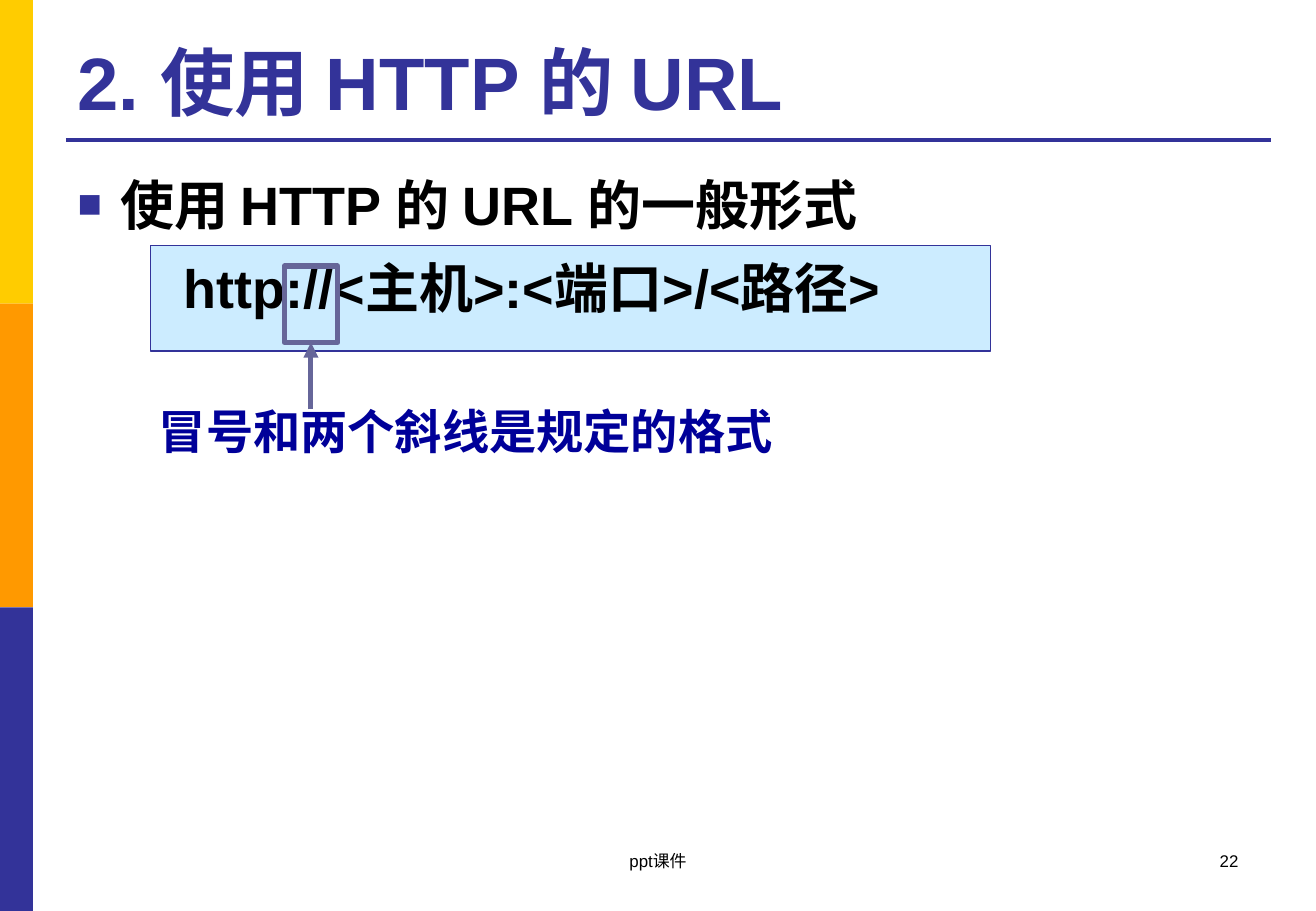
from lxml import etree
from pptx import Presentation
from pptx.dml.color import RGBColor
from pptx.enum.shapes import MSO_CONNECTOR as LINE, MSO_SHAPE as SHAPE
from pptx.enum.text import MSO_ANCHOR as ANCHOR, MSO_AUTO_SIZE as FIT, PP_ALIGN as ALIGN
from pptx.oxml.ns import qn
from pptx.util import Inches, Pt

WIDTH, HEIGHT = Inches(10.83), Inches(7.5)
INDIGO, SLATE, BLACK = "333399", "666699", "000000"
MARGIN, CONTENT_WIDTH = 5, 91.5
FOOTER_TOP, FOOTER_HEIGHT = 92.67, 6.67


def color(text):
    return RGBColor.from_string(text)


def place(left, top, *size):
    """Turn percentages of the slide's width and height into lengths."""
    sides = (WIDTH, HEIGHT, WIDTH, HEIGHT)
    return [round(side * share / 100) for side, share in zip(sides, (left, top, *size))]


def add_box(shapes, area, fill=None, line=None, weight=0.75):
    box = shapes.add_shape(SHAPE.RECTANGLE, *place(*area))
    box.shadow.inherit = False
    if fill:
        box.fill.solid()
        box.fill.fore_color.rgb = color(fill)
    else:
        box.fill.background()
    if line:
        box.line.color.rgb = color(line)
        box.line.width = Pt(weight)
    else:
        box.line.fill.background()
    return box


def add_line(shapes, start, end, line, weight):
    connector = shapes.add_connector(LINE.STRAIGHT, *place(*start), *place(*end))
    connector.line.color.rgb = color(line)
    connector.line.width = Pt(weight)
    etree.SubElement(connector._element.spPr, qn("a:effectLst"))
    return connector


def add_arrowhead(connector):
    outline = connector.line._get_or_add_ln()
    etree.SubElement(outline, qn("a:tailEnd"), type="triangle")


def style(para, size, ink, bold=False, font="Arial"):
    para.font.name = font
    para.font.size = Pt(size)
    para.font.bold = bold
    para.font.color.rgb = color(ink)


def add_text(page, area, text, size, ink, bold=False, font="Arial",
             align=ALIGN.LEFT, anchor=ANCHOR.TOP, wrap=True):
    box = page.shapes.add_textbox(*place(*area))
    frame = box.text_frame
    frame.word_wrap = wrap
    frame.vertical_anchor = anchor
    para = frame.paragraphs[0]
    para.text = text
    para.alignment = align
    style(para, size, ink, bold, font)
    return frame


def set_indent(para, left, first=0):
    properties = para._p.get_or_add_pPr()
    properties.set("marL", str(Inches(left)))
    properties.set("indent", str(Inches(first)))
    return properties


def add_bullet(para):
    properties = set_indent(para, 0.35, -0.35)
    tint = etree.SubElement(properties, qn("a:buClr"))
    etree.SubElement(tint, qn("a:srgbClr"), val=INDIGO)
    etree.SubElement(properties, qn("a:buSzPct"), val="75000")
    etree.SubElement(properties, qn("a:buFont"), typeface="Arial")
    etree.SubElement(properties, qn("a:buChar"), char="■")


def add_body(page):
    box = page.shapes.add_textbox(*place(MARGIN, 17.47, CONTENT_WIDTH, 72))
    frame = box.text_frame
    frame.word_wrap = True
    heading, address = frame.paragraphs[0], frame.add_paragraph()
    heading.text = "使用 HTTP 的 URL 的一般形式"
    address.text = "http://<主机>:<端口>/<路径>"
    add_bullet(heading)
    set_indent(address, 0.87)
    address.space_before = Pt(7)
    for para in (heading, address):
        para.line_spacing = 1.1
        style(para, 32, BLACK, bold=True)


def add_separator_callout(page):
    """Frame the colon and slashes, with an arrow from the note below."""
    group = page.shapes.add_group_shape()
    frame = add_box(group.shapes, (21.6, 29.2, 4.06, 8.4), line=SLATE, weight=3)
    arrow = add_line(group.shapes, (23.63, 44.93), (23.63, 37.6), SLATE, 3)
    arrow.end_connect(frame, 2)
    add_arrowhead(arrow)


def main():
    deck = Presentation()
    deck.slide_width, deck.slide_height = WIDTH, HEIGHT
    page = deck.slides.add_slide(deck.slide_layouts[6])

    stripes = ("FFCC00", "FF9900", INDIGO)
    stripe_height = 100 / len(stripes)
    for row, fill in enumerate(stripes):
        add_box(page.shapes, (0, row * stripe_height, 2.5, stripe_height), fill)
    add_line(page.shapes, (MARGIN, 15.33), (96.6, 15.33), INDIGO, 2.25)

    add_box(page.shapes, (11.45, 26.93, 63.8, 11.6), "CCECFF", INDIGO)
    add_text(page, (MARGIN, 2.8, CONTENT_WIDTH, 11.6), "2. 使用 HTTP 的 URL",
             44, INDIGO, bold=True, anchor=ANCHOR.BOTTOM)
    add_body(page)
    add_separator_callout(page)
    note = add_text(page, (11.17, 43.47, 49.03, 7.6), "冒号和两个斜线是规定的格式",
                    28, "000099", bold=True, font="Lato", wrap=False)
    note.auto_size = FIT.SHAPE_TO_FIT_TEXT

    add_text(page, (71.65, FOOTER_TOP, 23.36, FOOTER_HEIGHT), "22",
             10, BLACK, align=ALIGN.RIGHT)
    add_text(page, (34.16, FOOTER_TOP, 31.67, FOOTER_HEIGHT), "ppt课件",
             10, BLACK, align=ALIGN.CENTER)
    deck.save("out.pptx")


if __name__ == "__main__":
    main()
